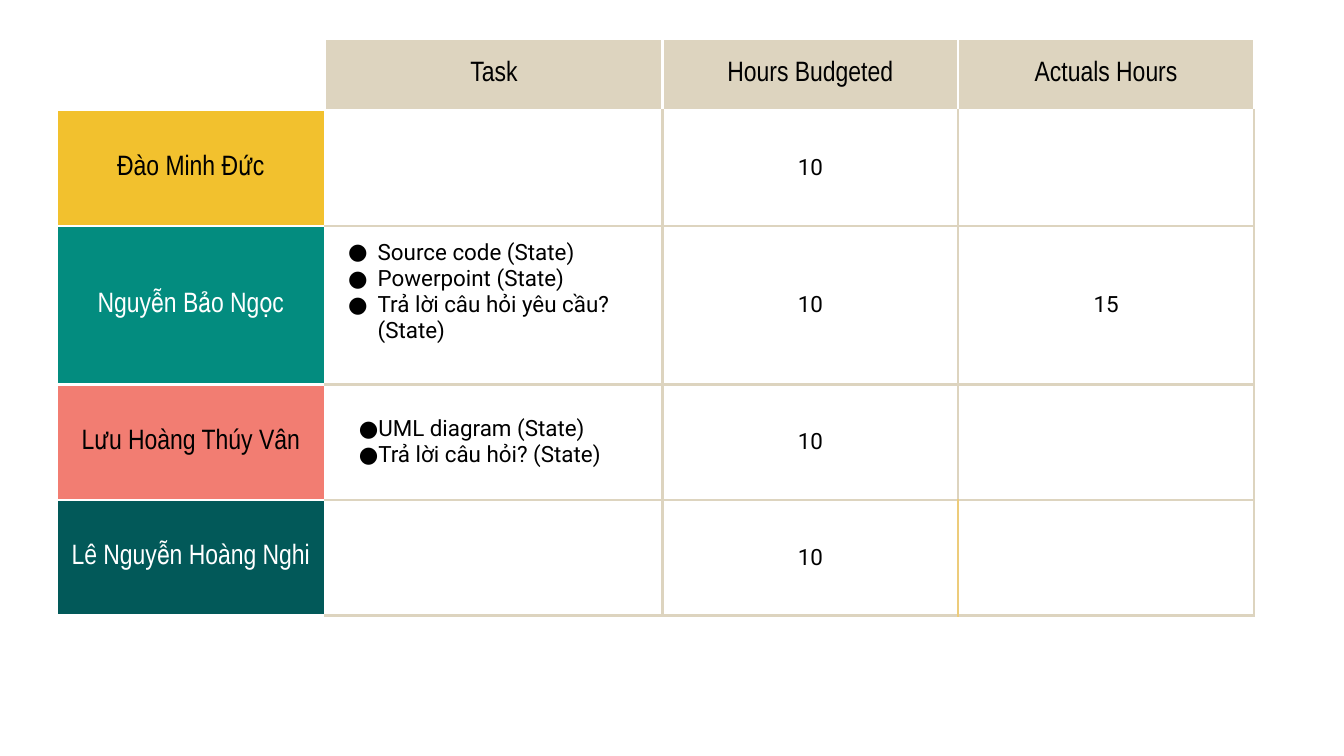
"""Build a slide with a table of tasks and hours for each team member."""
from lxml import etree
from pptx import Presentation, util as u
from pptx.dml.color import RGBColor
from pptx.enum import text
from pptx.oxml.ns import qn

THEME = {
    "white": "FFFFFF", "black": "000000", "sand": "DDD4BF", "gold": "EDCC7B",
    "yellow": "F2C12E", "teal": "038C7F", "coral": "F27D72", "pine": "025959",
    "label": ("Arial Narrow", 15), "body": ("Roboto", 12),
    "border": 1.5, "inset": 0.1, "bullet": "●",
}
SLIDE = (10, 10 * 9 / 16)
ORIGIN = (0.42, 0.29)
COLUMNS = [2, 2.51, 2.2, 2.2]
ROWS = [0.53, 0.86, 1.18, 0.86, 0.86]

HEADINGS = ["", "Task", "Hours Budgeted", "Actuals Hours"]
MEMBERS = [
    ("Đào Minh Đức", "yellow", "black", [], "10", ""),
    ("Nguyễn Bảo Ngọc", "teal", "white",
     ["Source code (State)", "Powerpoint (State)", "Trả lời câu hỏi yêu cầu? (State)"], "10", "15"),
    ("Lưu Hoàng Thúy Vân", "coral", "black",
     ["UML diagram (State)", "Trả lời câu hỏi? (State)"], "10", ""),
    ("Lê Nguyễn Hoàng Nghi", "pine", "white", [], "10", ""),
]
TASK_LAYOUTS = {
    2: {"anchor": text.MSO_ANCHOR.TOP, "left": 0.1, "margin": 0.29, "hang": 0.22},
    3: {"anchor": text.MSO_ANCHOR.MIDDLE, "left": 0.25, "margin": 0.12, "hang": 0.21},
}


def border_color(row, column, side):
    if row == 0 or column == 0 or (row, side) == (1, "T") or (column, side) == (1, "L"):
        return THEME["white"]
    if row == len(MEMBERS) and (column, side) in [(2, "R"), (3, "L")]:
        return THEME["gold"]
    return THEME["sand"]


def draw_borders(cell, row, column):
    properties = cell._tc.get_or_add_tcPr()
    for side in "LRTB":
        line = etree.SubElement(properties, qn(f"a:ln{side}"), w=str(u.Pt(THEME["border"])))
        fill = etree.SubElement(line, qn("a:solidFill"))
        etree.SubElement(fill, qn("a:srgbClr"), val=border_color(row, column, side))


def write(cell, words, style, color="black", fill=None):
    cell.margin_left = cell.margin_right = u.Inches(THEME["inset"])
    cell.margin_top = cell.margin_bottom = u.Inches(THEME["inset"])
    cell.vertical_anchor = text.MSO_ANCHOR.MIDDLE
    if fill:
        cell.fill.solid()
        cell.fill.fore_color.rgb = RGBColor.from_string(THEME[fill])
    else:
        cell.fill.background()
    cell.text_frame.text = words
    family, size = THEME[style]
    for para in cell.text_frame.paragraphs:
        para.alignment = text.PP_ALIGN.CENTER
        for span in para.runs:
            span.font.name, span.font.size = family, u.Pt(size)
            span.font.color.rgb = RGBColor.from_string(THEME[color])


def add_bullets(cell, layout):
    cell.vertical_anchor = layout["anchor"]
    cell.margin_left = u.Inches(layout["left"])
    for para in cell.text_frame.paragraphs:
        para.alignment = text.PP_ALIGN.LEFT
        properties = para._p.get_or_add_pPr()
        properties.set("marL", str(u.Inches(layout["margin"])))
        properties.set("indent", str(-u.Inches(layout["hang"])))
        tint = etree.SubElement(properties, qn("a:buClr"))
        etree.SubElement(tint, qn("a:srgbClr"), val=THEME["black"])
        etree.SubElement(properties, qn("a:buFont"), typeface=THEME["body"][0])
        etree.SubElement(properties, qn("a:buChar"), char=THEME["bullet"])


def main():
    deck = Presentation()
    deck.slide_width, deck.slide_height = map(u.Inches, SLIDE)
    page = deck.slides.add_slide(deck.slide_layouts[6])
    frame = (*ORIGIN, sum(COLUMNS), sum(ROWS))
    table = page.shapes.add_table(len(ROWS), len(COLUMNS), *map(u.Inches, frame)).table
    table.first_row = table.horz_banding = False
    for column, width in zip(table.columns, COLUMNS):
        column.width = u.Inches(width)
    for row, height in zip(table.rows, ROWS):
        row.height = u.Inches(height)
    for row in range(len(ROWS)):
        for column in range(len(COLUMNS)):
            draw_borders(table.cell(row, column), row, column)

    for column, heading in enumerate(HEADINGS):
        write(table.cell(0, column), heading, "label", fill="sand" if heading else None)
    for row, (name, fill, color, tasks, budget, actual) in enumerate(MEMBERS, 1):
        write(table.cell(row, 0), name, "label", color, fill)
        for column, words in enumerate(["\n".join(tasks), budget, actual], 1):
            write(table.cell(row, column), words, "body")
        if tasks:
            add_bullets(table.cell(row, 1), TASK_LAYOUTS[row])
    deck.save("out.pptx")


if __name__ == "__main__":
    main()
